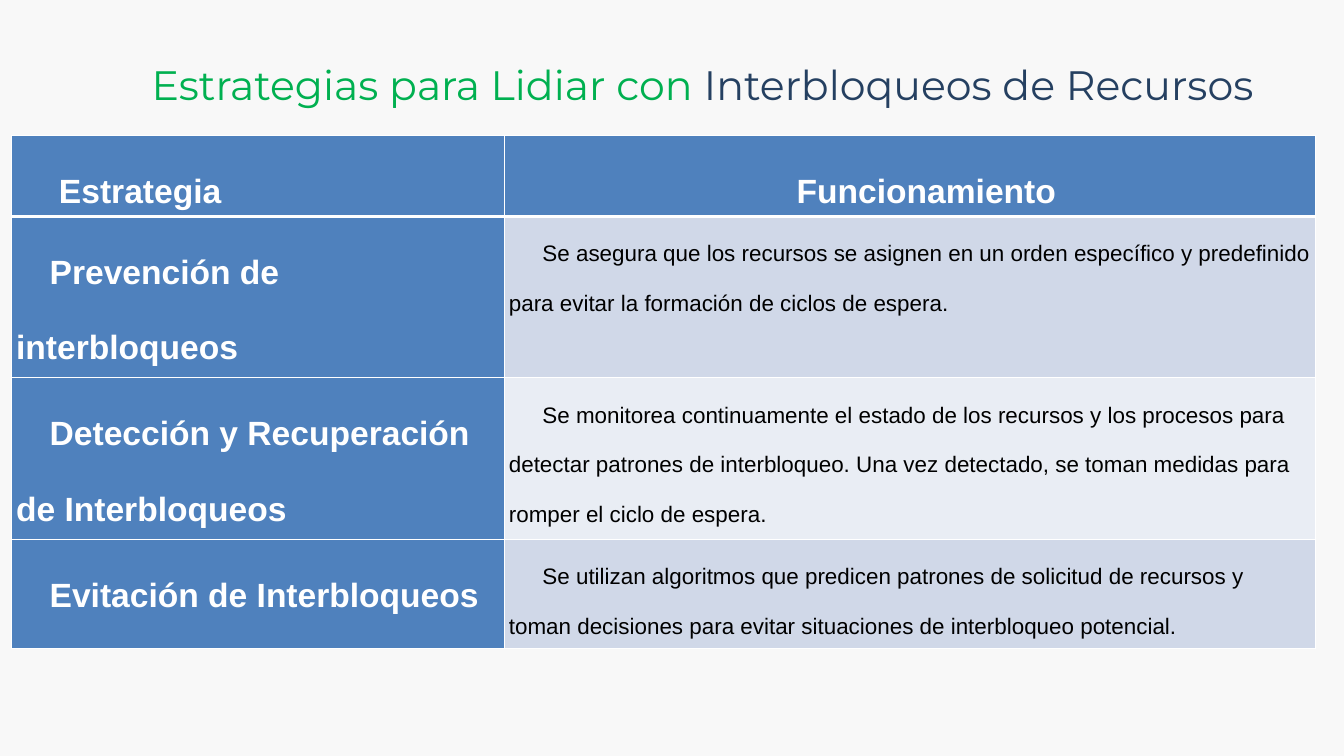
import pptx
import pptx.dml.color
import pptx.enum.text
import pptx.oxml
import pptx.oxml.ns
import pptx.util

PX = 9525
CENTER = pptx.enum.text.PP_ALIGN.CENTER
LEFT = pptx.enum.text.PP_ALIGN.LEFT


def color(hex_code):
    return pptx.dml.color.RGBColor.from_string(hex_code)


def add_run(paragraph, text, hex_code, **font_format):
    run = paragraph.add_run()
    run.text = text
    run.font.color.rgb = color(hex_code)
    for attribute, value in font_format.items():
        setattr(run.font, attribute, value)


presentation = pptx.Presentation()
presentation.slide_width = 1920 * PX
presentation.slide_height = 1080 * PX
slide = presentation.slides.add_slide(presentation.slide_layouts[6])
slide.background.fill.solid()
slide.background.fill.fore_color.rgb = color("F8F8F8")

# Title
title = slide.shapes.add_textbox(88 * PX, 29 * PX, 1832 * PX, 108 * PX).text_frame
title_format = {
    "word_wrap": True,
    "auto_size": pptx.enum.text.MSO_AUTO_SIZE.SHAPE_TO_FIT_TEXT,
    "margin_left": 0, "margin_right": 0, "margin_top": 0, "margin_bottom": 0,
}
for attribute, value in title_format.items():
    setattr(title, attribute, value)
heading = title.paragraphs[0]
heading.alignment = CENTER
heading.line_spacing = pptx.util.Pt(94.6)
for text, hex_code in [("Estrategias para Lidiar con ", "00B050"),
                       ("Interbloqueos de Recursos", "254061")]:
    add_run(heading, text, hex_code, name="Montserrat", size=pptx.util.Pt(44))

# Table of strategies
strategies = [
    (" Estrategia", "Funcionamiento"),
    ("Prevención de interbloqueos",
     "Se asegura que los recursos se asignen en un orden específico y predefinido "
     "para evitar la formación de ciclos de espera."),
    ("Detección y Recuperación de Interbloqueos",
     "Se monitorea continuamente el estado de los recursos y los procesos para "
     "detectar patrones de interbloqueo. Una vez detectado, se toman medidas para "
     "romper el ciclo de espera."),
    ("Evitación de Interbloqueos",
     "Se utilizan algoritmos que predicen patrones de solicitud de recursos y "
     "toman decisiones para evitar situaciones de interbloqueo potencial."),
]
column_widths = [704, 1159]
row_heights = [54, 101, 156, 156]
band_fills = ["E9EDF4", "D0D8E8"]
cell_format = {"margin_left": 7 * PX, "margin_right": 7 * PX,
               "margin_top": 0, "margin_bottom": 0}
paragraph_format = {"line_spacing": 2.0, "space_after": pptx.util.Pt(8)}

table = slide.shapes.add_table(
    len(strategies), len(column_widths),
    16 * PX, 194 * PX, sum(column_widths) * PX, sum(row_heights) * PX).table
table.horz_banding = False
for column, width in zip(table.columns, column_widths):
    column.width = width * PX
for row, height in zip(table.rows, row_heights):
    row.height = height * PX

for row_index, texts in enumerate(strategies):
    for column_index, text in enumerate(texts):
        is_heading = row_index == 0 or column_index == 0
        cell = table.cell(row_index, column_index)
        for attribute, value in cell_format.items():
            setattr(cell, attribute, value)
        cell.fill.solid()
        cell.fill.fore_color.rgb = color("4F81BD" if is_heading else band_fills[row_index % 2])

        paragraph = cell.text_frame.paragraphs[0]
        for attribute, value in paragraph_format.items():
            setattr(paragraph, attribute, value)
        paragraph.alignment = CENTER if (row_index, column_index) == (0, 1) else LEFT
        paragraph_properties = paragraph._p.get_or_add_pPr()
        paragraph_properties.set("marL", "0")
        paragraph_properties.set("indent", str(48 * PX))
        add_run(paragraph, text, "FFFFFF" if is_heading else "000000", name="Arial",
                size=pptx.util.Pt(36 if is_heading else 24), bold=is_heading)

        for position, side in enumerate("LRTB"):
            thick = (row_index, side) in [(0, "B"), (1, "T")]
            border = pptx.oxml.parse_xml(
                f'<a:ln{side} {pptx.oxml.ns.nsdecls("a")} w="{38100 if thick else 12700}">'
                '<a:solidFill><a:srgbClr val="FFFFFF"/></a:solidFill>'
                f'</a:ln{side}>')
            cell._tc.get_or_add_tcPr().insert(position, border)

presentation.save("out.pptx")
